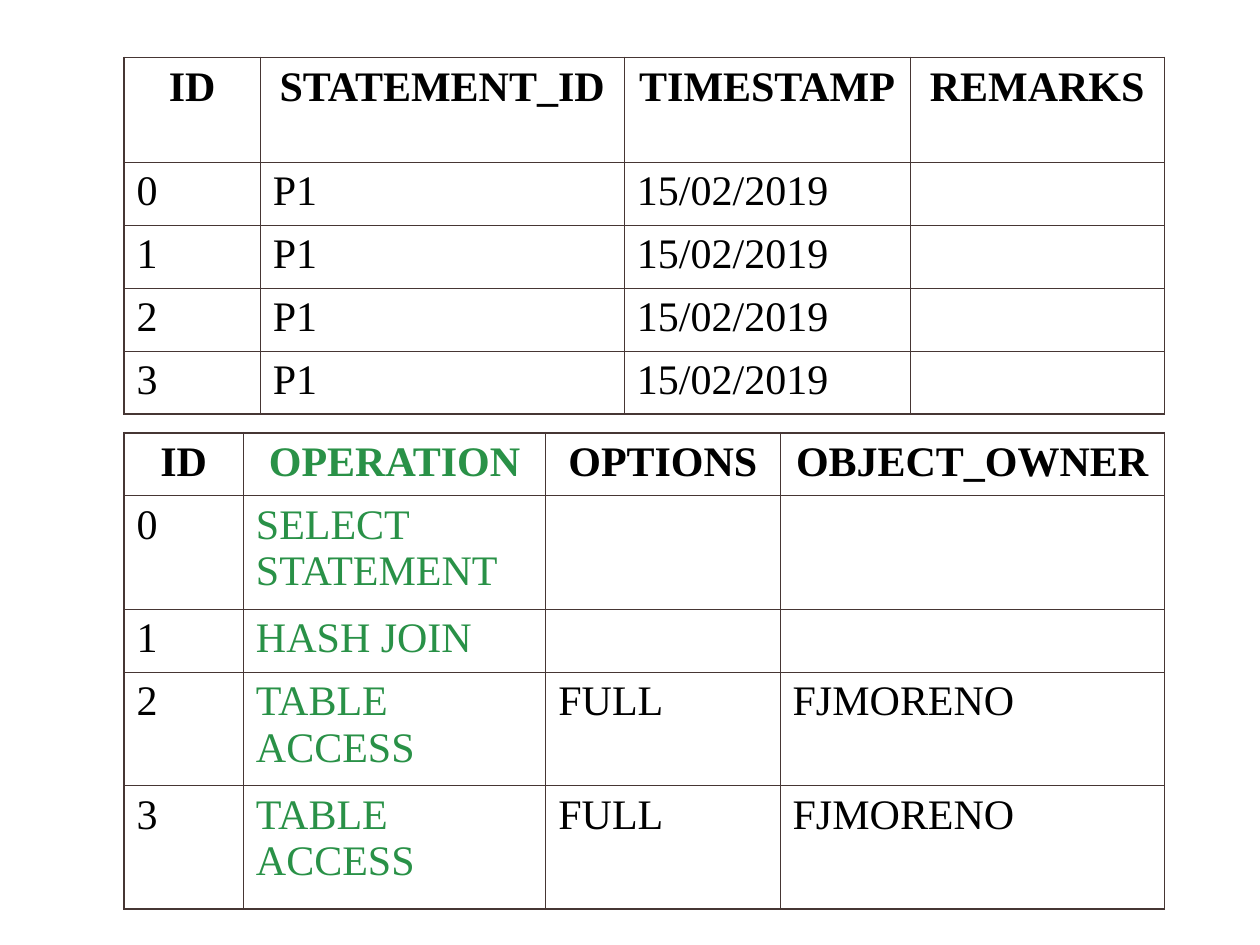
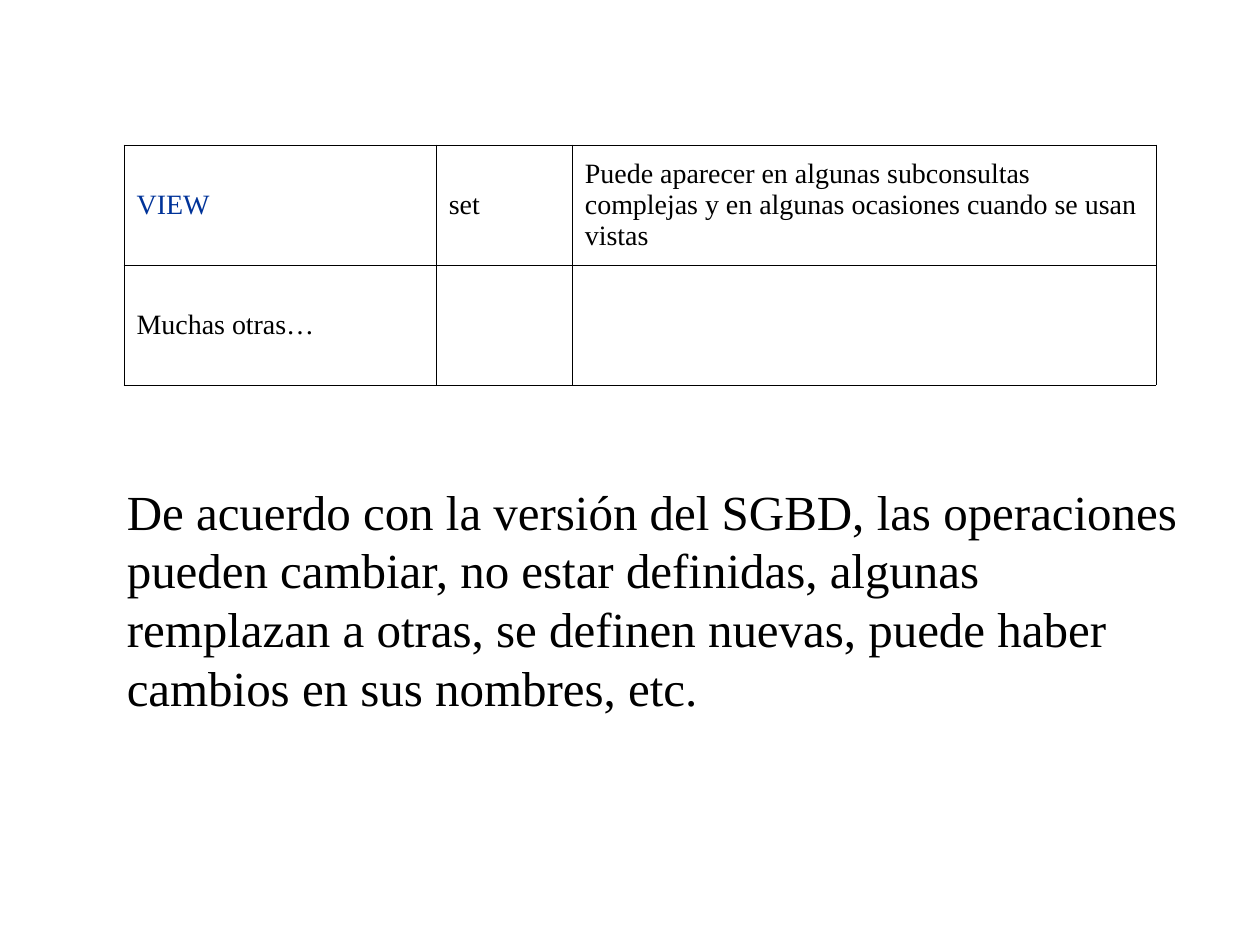
"""Build two slides of execution plan tables and notes on their operations."""
from dataclasses import dataclass

from lxml import etree
from pptx import Presentation
from pptx import util as u
from pptx.dml import color
from pptx.enum import text as t
from pptx.oxml import ns


@dataclass(frozen=True)
class Theme:
    font: str = "Times New Roman"
    ink: str = "000000"
    green: str = "299147"
    blue: str = "003399"
    brown: str = "463634"
    plan_size: float = 24
    operation_size: float = 16
    note_size: float = 28
    thin: float = 0.45
    thick: float = 1.08
    left: float = 70.9


def write_text(frame, text, *, font, size, ink, bold=False,
               align=t.PP_ALIGN.LEFT, before=0):
    lines = text.split("\n")
    for index, line in enumerate(lines):
        paragraph = frame.add_paragraph() if index else frame.paragraphs[0]
        paragraph.alignment = align
        paragraph.space_before = u.Pt(before)
        run = paragraph.add_run()
        run.text = line
        run.font.name = font
        run.font.size = u.Pt(size)
        run.font.bold = bold
        run.font.color.rgb = color.RGBColor.from_string(ink)


def set_borders(cell, ink, widths):
    properties = cell._tc.get_or_add_tcPr()
    for index, (side, width) in enumerate(zip("LRTB", widths)):
        line = etree.Element(ns.qn(f"a:ln{side}"), w=str(u.Pt(width)))
        fill = etree.SubElement(line, ns.qn("a:solidFill"))
        etree.SubElement(fill, ns.qn("a:srgbClr"), val=ink)
        properties.insert(index, line)


class Deck:
    def __init__(self, theme):
        self.theme = theme
        self.presentation = Presentation()
        self.presentation.slide_width = u.Pt(720)
        self.presentation.slide_height = u.Pt(540)
        self.slide = None

    def add_slide(self):
        layout = self.presentation.slide_layouts[6]
        self.slide = self.presentation.slides.add_slide(layout)

    def add_table(self, rows, top, widths, heights, *, size, border, outer,
                  header=False, before=0, anchor=t.MSO_ANCHOR.TOP, inks=None):
        """Draw rows of text; inks maps (row, column) or a column to a colour."""
        theme, inks = self.theme, inks or {}
        shape = self.slide.shapes.add_table(
            len(rows), len(widths), u.Pt(theme.left), u.Pt(top),
            u.Pt(sum(widths)), u.Pt(sum(heights)))
        table = shape.table
        table.first_row = table.horz_banding = False
        for column, width in zip(table.columns, widths):
            column.width = u.Pt(width)
        for row, height in zip(table.rows, heights):
            row.height = u.Pt(height)
        for r, row in enumerate(rows):
            for c, text in enumerate(row):
                cell = table.cell(r, c)
                cell.fill.background()
                cell.vertical_anchor = anchor
                edges = (c == 0, c == len(widths) - 1, r == 0, r == len(rows) - 1)
                set_borders(cell, border,
                            [outer if edge else theme.thin for edge in edges])
                if text:
                    heading = header and r == 0
                    write_text(cell.text_frame, text, font=theme.font, size=size,
                               ink=inks.get((r, c), inks.get(c, theme.ink)),
                               bold=heading, before=before,
                               align=t.PP_ALIGN.CENTER if heading else t.PP_ALIGN.LEFT)

    def add_plan_table(self, rows, top, widths, heights, inks=None):
        self.add_table(rows, top, widths, heights, size=self.theme.plan_size,
                       border=self.theme.brown, outer=self.theme.thick,
                       header=True, before=6, inks=inks)

    def add_note(self, text, left, top, width, height):
        shape = self.slide.shapes.add_textbox(
            u.Pt(left), u.Pt(top), u.Pt(width), u.Pt(height))
        shape.text_frame.word_wrap = False
        write_text(shape.text_frame, text, font=self.theme.font,
                   size=self.theme.note_size, ink=self.theme.ink)


def add_plan_slide(deck):
    deck.add_slide()
    statements = [["ID", "STATEMENT_ID", "TIMESTAMP", "REMARKS"]]
    statements += [[str(number), "P1", "15/02/2019", ""] for number in range(4)]
    deck.add_plan_table(statements, 32.8, [77.8, 208.1, 163.2, 145.4],
                        [59.9] + [36] * 4)
    operations = [
        ["ID", "OPERATION", "OPTIONS", "OBJECT_OWNER"],
        ["0", "SELECT STATEMENT", "", ""],
        ["1", "HASH JOIN", "", ""],
        ["2", "TABLE ACCESS", "FULL", "FJMORENO"],
        ["3", "TABLE ACCESS", "FULL", "FJMORENO"],
    ]
    deck.add_plan_table(operations, 247.3, [68.2, 172.8, 133.9, 219.6],
                        [36, 64.8, 36, 64.8, 70.6], inks={1: deck.theme.green})


def add_operations_slide(deck):
    deck.add_slide()
    theme = deck.theme
    operations = [
        ["VIEW", "set", "Puede aparecer en algunas subconsultas complejas y en "
                        "algunas ocasiones cuando se usan vistas"],
        ["Muchas otras…", "", ""],
    ]
    deck.add_table(operations, 82.8, [178.4, 77.8, 333.6], [68.6] * 2,
                   size=theme.operation_size, border=theme.ink, outer=theme.thin,
                   anchor=t.MSO_ANCHOR.MIDDLE, inks={(0, 0): theme.blue})
    deck.add_note("De acuerdo con la versión del SGBD, las operaciones\n"
                  "pueden cambiar, no estar definidas, algunas\n"
                  "remplazan a otras, se definen nuevas, puede haber\n"
                  "cambios en sus nombres, etc.", 65.4, 271.4, 618, 175.7)


def main():
    deck = Deck(Theme())
    add_plan_slide(deck)
    add_operations_slide(deck)
    deck.presentation.save("out.pptx")


if __name__ == "__main__":
    main()
